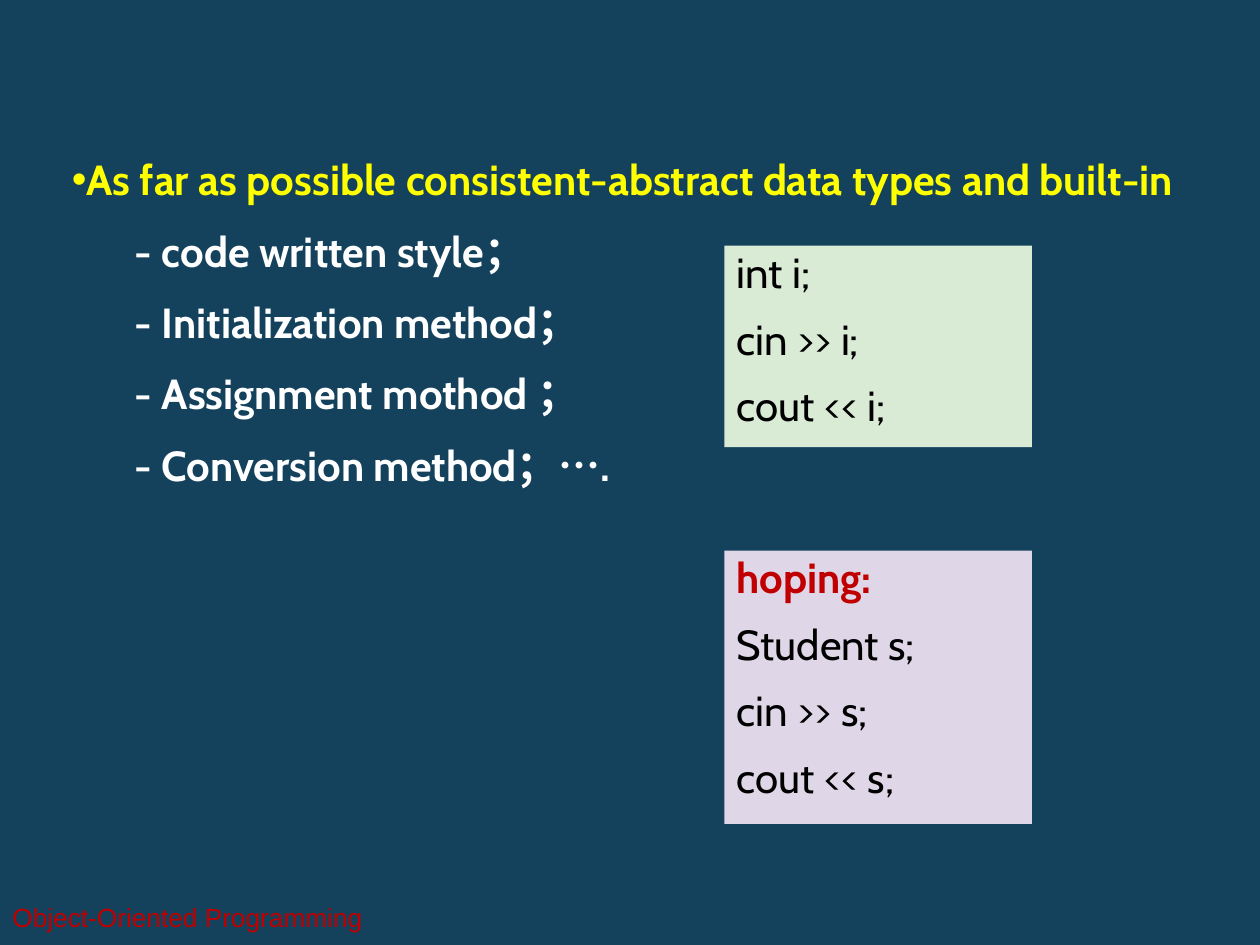
from lxml.etree import SubElement
from pptx import Presentation
from pptx.dml.color import RGBColor
from pptx.enum.shapes import MSO_SHAPE
from pptx.enum.text import MSO_ANCHOR, MSO_AUTO_SIZE, PP_ALIGN
from pptx.oxml.ns import qn
from pptx.util import Inches, Pt

NAVY = RGBColor(0x14, 0x42, 0x5D)
YELLOW = RGBColor(0xFF, 0xFF, 0x00)
WHITE = RGBColor(0xFF, 0xFF, 0xFF)
BLACK = RGBColor(0x00, 0x00, 0x00)
RED = RGBColor(0xC0, 0x00, 0x00)
GREEN = RGBColor(0xD9, 0xEA, 0xD5)
LILAC = RGBColor(0xDF, 0xD7, 0xE7)


class SlideBuilder:
    font = "Cabin"
    size = Pt(24)
    gap = Pt(12)
    code_line = Pt(26)

    def __init__(self, slide):
        self.slide = slide
        slide.background.fill.solid()
        slide.background.fill.fore_color.rgb = NAVY

    def place(self, shape, left, top, width, height):
        position = {"left": left, "top": top, "width": width, "height": height}
        for name, value in position.items():
            setattr(shape, name, Inches(value))

    def fill_text(self, frame, lines, anchor=MSO_ANCHOR.TOP, **font_format):
        """Fill a text frame from (text, color, bold) lines."""
        frame.word_wrap = True
        frame.auto_size = MSO_AUTO_SIZE.NONE
        frame.vertical_anchor = anchor
        for index, (text, color, bold) in enumerate(lines):
            paragraph = frame.paragraphs[0] if index == 0 else frame.add_paragraph()
            paragraph.alignment = PP_ALIGN.LEFT
            paragraph.space_before = self.gap if index else Pt(0)
            run = paragraph.add_run()
            run.text = text
            values = {"name": self.font, "size": self.size, "bold": bold} | font_format
            for name, value in values.items():
                setattr(run.font, name, value)
            run.font.color.rgb = color

    def bullet_list(self, heading, items, *position):
        body = self.slide.placeholders[1]
        self.place(body, *position)
        lines = [(heading, YELLOW, True)] + [(f"- {item}", WHITE, True) for item in items]
        self.fill_text(body.text_frame, lines)
        for index, paragraph in enumerate(body.text_frame.paragraphs):
            paragraph.level = 1 if index else 0
            properties = paragraph._p.get_or_add_pPr()
            properties.set("marL", str(Inches(0.5) if index else 0))
            properties.set("indent", "0")
            if index:
                SubElement(properties, qn("a:buNone"))
            else:
                SubElement(properties, qn("a:buChar"), char="•")

    def code_box(self, lines, fill, *position):
        box = self.slide.shapes.add_shape(MSO_SHAPE.RECTANGLE, 0, 0, 0, 0)
        self.place(box, *position)
        box.shadow.inherit = False
        box.fill.solid()
        box.fill.fore_color.rgb = fill
        box.line.fill.background()
        self.fill_text(box.text_frame, lines)
        for paragraph in box.text_frame.paragraphs:
            paragraph.line_spacing = self.code_line

    def footer(self, text, *position):
        box = self.slide.shapes.add_textbox(0, 0, 0, 0)
        self.place(box, *position)
        self.fill_text(box.text_frame, [(text, RED, False)], MSO_ANCHOR.MIDDLE,
                       name="Arial", size=Pt(15))


def code(*lines):
    return [(line, BLACK, False) for line in lines]


def main():
    presentation = Presentation()
    presentation.slide_width = Inches(10)
    presentation.slide_height = Inches(7.5)
    slide = presentation.slides.add_slide(presentation.slide_layouts[1])
    title = slide.shapes.title.element
    title.getparent().remove(title)

    builder = SlideBuilder(slide)
    builder.footer("Object-Oriented Programming", 0, 7.08, 4.01, 0.4)
    builder.bullet_list(
        "As far as possible consistent-abstract data types and built-in",
        ["code written style；", "Initialization method；",
         "Assignment mothod ；", "Conversion method；…."],
        0.47, 1.17, 9.53, 3.33)
    builder.code_box(code("int i;", "cin >> i;", "cout << i;"),
                     GREEN, 5.75, 1.95, 2.44, 1.6)
    builder.code_box([("hoping:", RED, True)] + code("Student s;", "cin >> s;", "cout << s;"),
                     LILAC, 5.75, 4.37, 2.44, 2.17)
    presentation.save("out.pptx")


if __name__ == "__main__":
    main()
